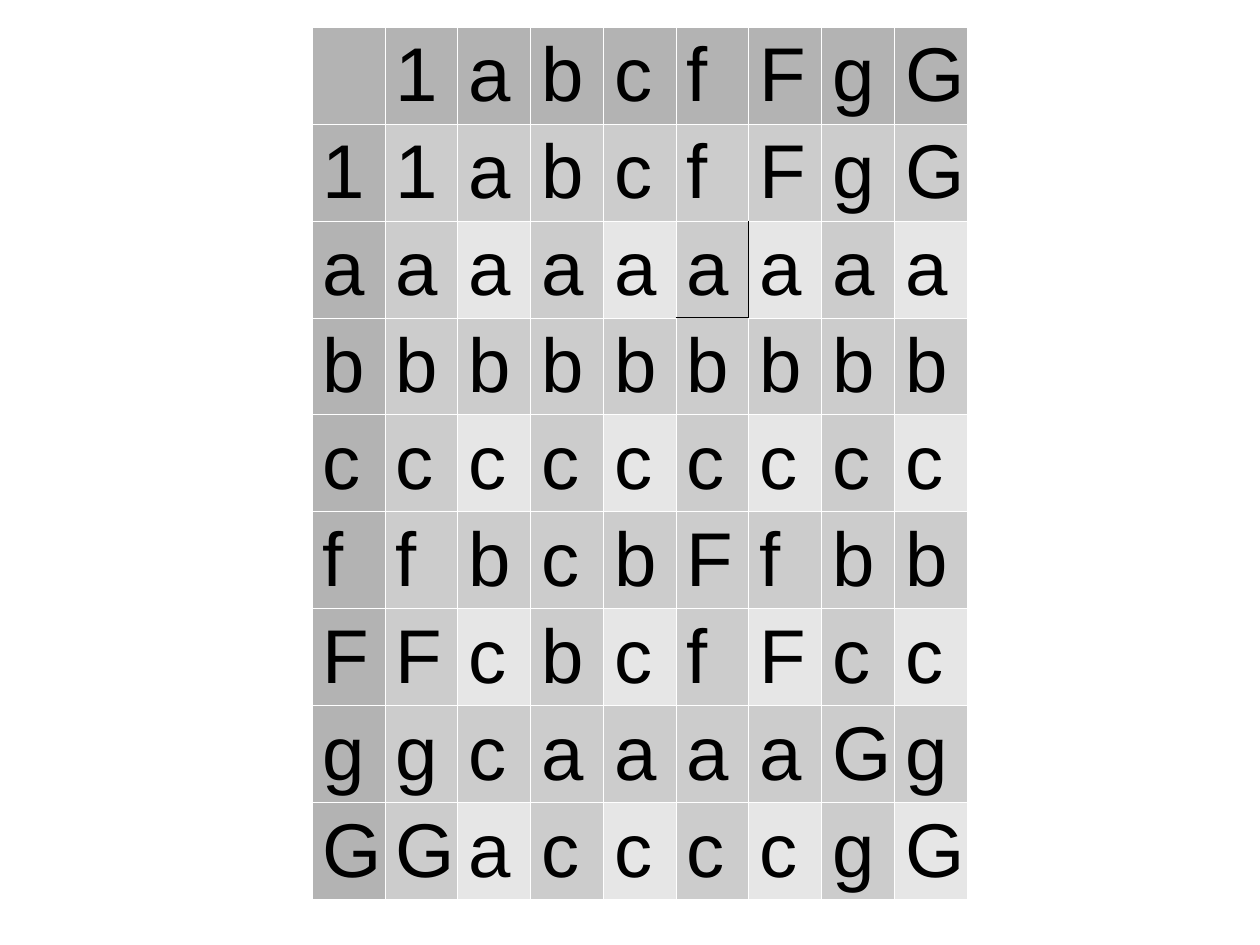
from lxml.etree import SubElement
from pptx import Presentation
from pptx.dml.color import RGBColor
from pptx.enum.text import MSO_ANCHOR
from pptx.oxml.ns import qn
from pptx.util import Pt

PX = 8000
SLIDE_W, SLIDE_H = 1260, 945
LEFT, TOP, WIDTH, HEIGHT = 312, 27, 655, 872

ROWS = [
    ["", "1", "a", "b", "c", "f", "F", "g", "G"],
    ["1", "1", "a", "b", "c", "f", "F", "g", "G"],
    ["a", "a", "a", "a", "a", "a", "a", "a", "a"],
    ["b", "b", "b", "b", "b", "b", "b", "b", "b"],
    ["c", "c", "c", "c", "c", "c", "c", "c", "c"],
    ["f", "f", "b", "c", "b", "F", "f", "b", "b"],
    ["F", "F", "c", "b", "c", "f", "F", "c", "c"],
    ["g", "g", "c", "a", "a", "a", "a", "G", "g"],
    ["G", "G", "a", "c", "c", "c", "c", "g", "G"],
]
HEADER, BODY, LIGHT = "B3B3B3", "CCCCCC", "E6E6E6"
GRID_LINE = ("FFFFFF", 0.06)
RIGHT_LINE = ("000000", 1)
BOTTOM_LINE = ("000000", 0.5)
MARKED_SIDES = {
    (2, 5, "R"): RIGHT_LINE,
    (2, 6, "L"): RIGHT_LINE,
    (2, 5, "B"): BOTTOM_LINE,
    (3, 5, "T"): BOTTOM_LINE,
}


def rgb(color):
    return RGBColor.from_string(color)


def cell_color(row, col):
    if row == 0 or col == 0:
        return HEADER
    return LIGHT if row % 2 == 0 and col % 2 == 0 else BODY


def add_border(cell, side, color, width):
    props = cell._tc.get_or_add_tcPr()
    line = SubElement(props, qn(f"a:ln{side}"), w=str(int(Pt(width))))
    fill = SubElement(line, qn("a:solidFill"))
    SubElement(fill, qn("a:srgbClr"), val=color)


def style_cell(cell, row, col, text):
    cell.margin_left = cell.margin_right = 11 * PX
    cell.margin_top, cell.margin_bottom = 6 * PX, 3 * PX
    cell.vertical_anchor = MSO_ANCHOR.TOP
    for side in "LRTB":
        add_border(cell, side, *MARKED_SIDES.get((row, col, side), GRID_LINE))
    cell.fill.solid()
    cell.fill.fore_color.rgb = rgb(cell_color(row, col))
    if text:
        cell.text = text
        font = cell.text_frame.paragraphs[0].font
        font.name, font.size = "Arial", Pt(48)
        font.color.rgb = rgb("000000")


def main():
    prs = Presentation()
    prs.slide_width, prs.slide_height = SLIDE_W * PX, SLIDE_H * PX
    s = prs.slides.add_slide(prs.slide_layouts[6])
    table = s.shapes.add_table(
        len(ROWS), len(ROWS[0]), LEFT * PX, TOP * PX, WIDTH * PX, HEIGHT * PX
    ).table
    table.first_row = table.horz_banding = False
    for row, letters in enumerate(ROWS):
        for col, text in enumerate(letters):
            style_cell(table.cell(row, col), row, col, text)
    prs.save("out.pptx")


if __name__ == "__main__":
    main()
